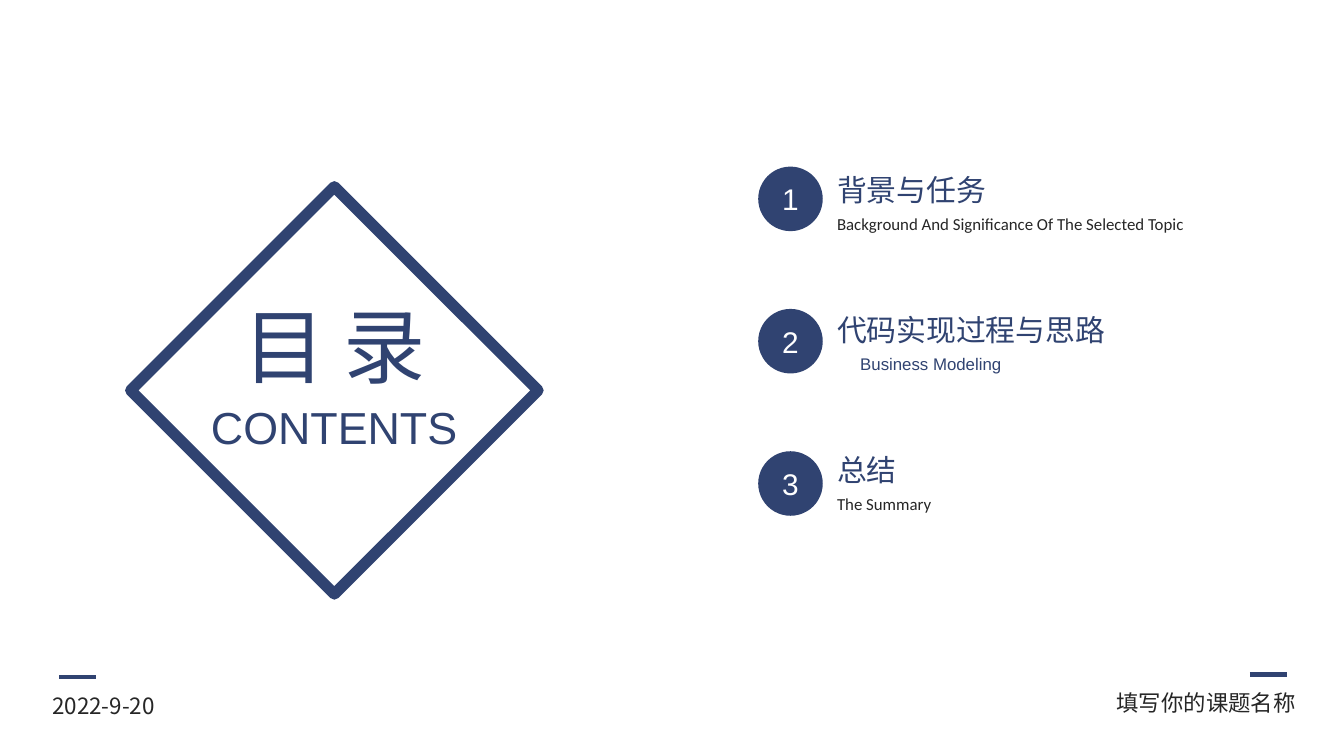
import pptx
import pptx.util
import pptx.dml.color
import pptx.enum.shapes
import pptx.enum.text
import pptx.oxml
import pptx.oxml.ns

Cm, Pt = pptx.util.Cm, pptx.util.Pt
KIND = pptx.enum.shapes.MSO_SHAPE
ALIGN = pptx.enum.text.PP_ALIGN
FIT = pptx.enum.text.MSO_AUTO_SIZE

# Content
HAN, LATIN, SMALL = "Noto Sans CJK SC", "Arial", "Calibri"
COLORS = {"navy": "304371", "dark": "262626", "white": "FFFFFF"}

# title, title width, subtitle, subtitle width, subtitle format
ITEMS = [
    ("背景与任务", 3.35, "Background And Significance Of The Selected Topic", 7.11, {}),
    ("代码实现过程与思路", 5.64, "Business Modeling", 4.04,
     {"font": LATIN, "color": "navy", "align": ALIGN.CENTER, "wrap": True}),
    ("总结", 1.65, "The Summary", 2.29, {}),
]

# text, box, format
LABELS = [
    ("目 录", (4.27, 5.46, 4.11, 2.13),
     {"size": 44, "color": "navy", "align": ALIGN.CENTER}),
    ("CONTENTS", (3.71, 7.44, 5.21, 1.27),
     {"size": 24, "font": LATIN, "color": "navy", "align": ALIGN.CENTER}),
    ("2022-9-20", (0.74, 12.95, 2.64, 0.76), {}),
    ("填写你的课题名称", (20.8, 12.9, 3.94, 0.76), {"align": ALIGN.RIGHT}),
]

DASHES = [(1.12, 12.8), (23.62, 12.75)]  # left, top
DASH = 0.7
DISC = 1.22

deck = pptx.Presentation()
deck.slide_width, deck.slide_height = Cm(25.4), Cm(14.29)
slide = deck.slides.add_slide(deck.slide_layouts[6])
shapes = slide.shapes


def rgb(name):
    return pptx.dml.color.RGBColor.from_string(COLORS[name])


def write(frame, text, size=12, font=HAN, color="dark", align=ALIGN.LEFT):
    para = frame.paragraphs[0]
    para.alignment = align
    run = para.add_run()
    run.text = text
    run.font.size = Pt(size)
    run.font.name = font
    run.font.color.rgb = rgb(color)
    east = pptx.oxml.parse_xml(
        f'<a:ea {pptx.oxml.ns.nsdecls("a")} typeface="{font}"/>')
    run.font._element.find(pptx.oxml.ns.qn("a:latin")).addnext(east)


def label(text, box, wrap=False, **look):
    frame = shapes.add_textbox(*map(Cm, box)).text_frame
    frame.word_wrap = wrap
    frame.auto_size = FIT.SHAPE_TO_FIT_TEXT
    write(frame, text, **look)


def plain(kind, box):
    shape = shapes.add_shape(kind, *map(Cm, box))
    shape.shadow.inherit = False
    return shape


# Footer dashes
for left, top in DASHES:
    dash = shapes.add_connector(pptx.enum.shapes.MSO_CONNECTOR.STRAIGHT,
                                Cm(left), Cm(top), Cm(left + DASH), Cm(top))
    dash.line.color.rgb = rgb("navy")
    dash.line.width = Pt(2.25)
    dash._element.spPr.append(
        pptx.oxml.parse_xml(f'<a:effectLst {pptx.oxml.ns.nsdecls("a")}/>'))

# Diamond around the heading
frame = plain(KIND.DIAMOND, (2.47, 3.53, 7.7, 7.7))
frame.fill.background()
frame.line.color.rgb = rgb("navy")
frame.line.width = Pt(6)

# Heading and footer text
for text, box, look in LABELS:
    label(text, box, **look)

# Numbered chapters
for i, (title, wide, sub, span, look) in enumerate(ITEMS):
    top = 3.12 + i * 2.65
    label(title, (15.57, top, wide, 0.94), size=16, color="navy")
    label(sub, (15.57, top + 0.79, span, 0.64),
          **{"size": 9, "font": SMALL, **look})

    disc = plain(KIND.OVAL, (14.33, 3.15 + i * 2.69, DISC, DISC))
    disc.fill.solid()
    disc.fill.fore_color.rgb = rgb("navy")
    disc.line.fill.background()
    disc.text_frame.vertical_anchor = pptx.enum.text.MSO_ANCHOR.MIDDLE
    write(disc.text_frame, str(i + 1), size=16, font=LATIN, color="white",
          align=ALIGN.CENTER)

deck.save("out.pptx")
